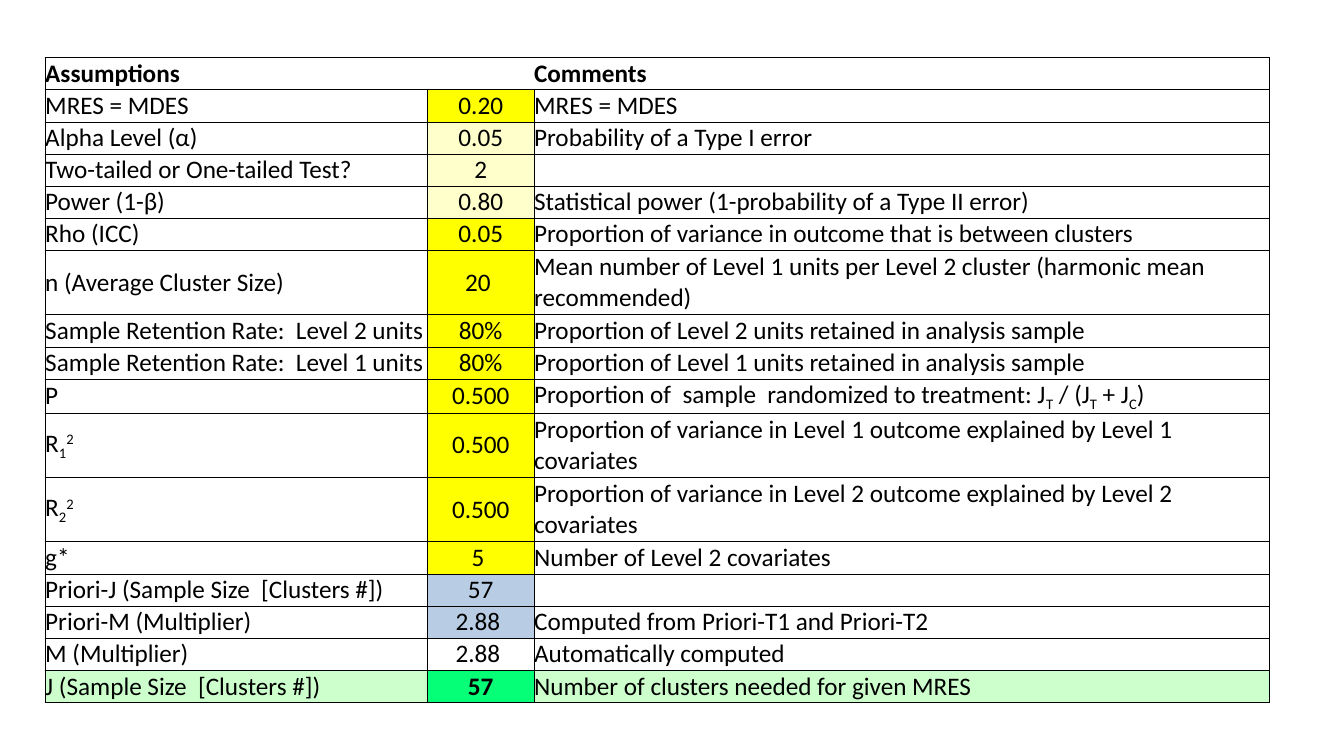
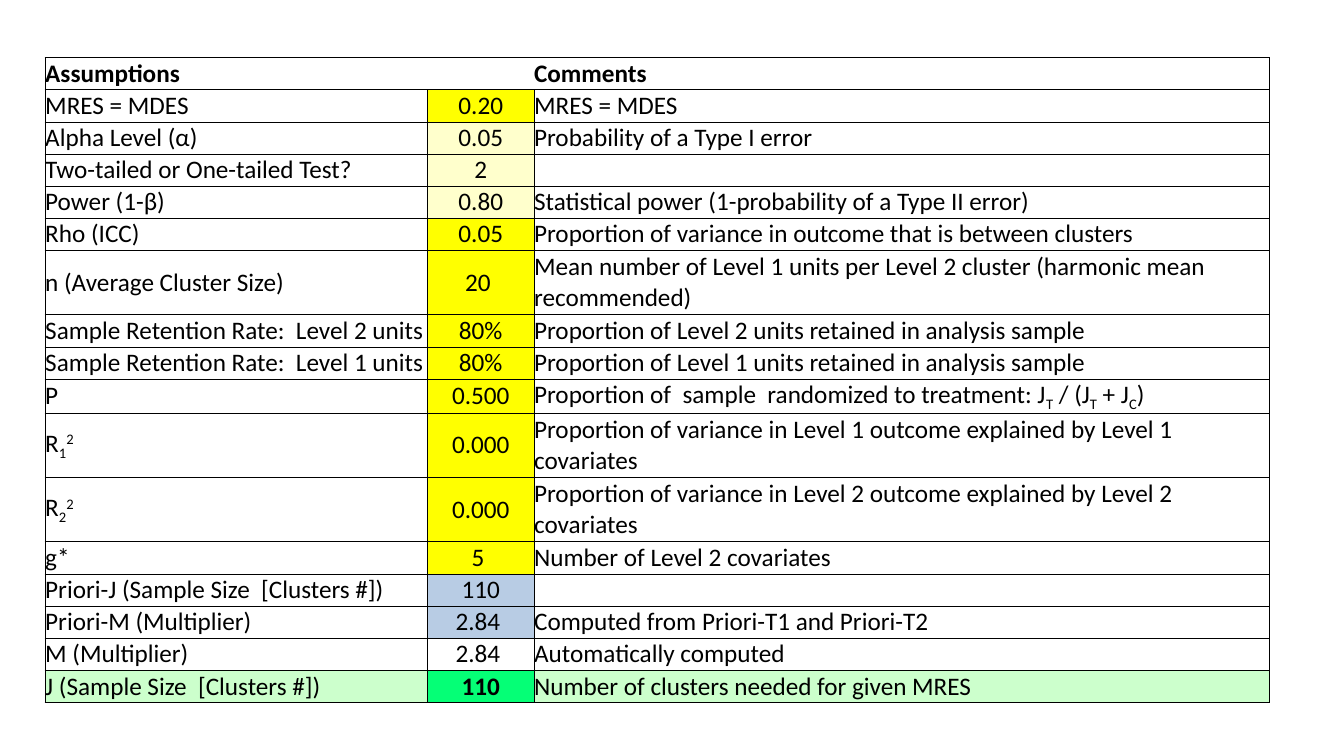
from typing import Iterator, NamedTuple

from lxml.etree import SubElement
from pptx import Presentation
from pptx.dml.color import RGBColor
from pptx.enum.text import MSO_ANCHOR as Anchor, PP_ALIGN as Align
from pptx.oxml.ns import qn
from pptx.util import Cm, Pt

BLACK, WHITE = "000000", "FFFFFF"
YELLOW, CREAM, BLUE = "FFFF00", "FFFFCC", "B8CCE4"
MINT, GREEN = "CCFFCC", "05FF76"

FONT, FONT_SIZE = "Calibri", 18
THIN, THICK = 0.5, 1
LEFT, TOP = 1.14, 1.45
COLUMN_WIDTHS = (9.63, 2.69, 18.53)
LINE_HEIGHT = 0.81
SUBSCRIPT, SUPERSCRIPT = -25, 30
BASELINES = {"_": SUBSCRIPT, "^": SUPERSCRIPT}


class Row(NamedTuple):
    label: str
    value: str
    comment: str
    value_fill: str = YELLOW
    side_fill: str = WHITE
    lines: int = 1
    bold: tuple[bool, bool, bool] = (False, False, False)


class Scenario(NamedTuple):
    r_squared: str
    clusters: str
    multiplier: str


SCENARIOS = (Scenario("0.500", "57", "2.88 "), Scenario("0.000", "110", "2.84 "))


def color(hex_code: str) -> RGBColor:
    return RGBColor.from_string(hex_code)


def assumption_rows(sc: Scenario) -> list[Row]:
    return [
        Row("Assumptions", "", "Comments", WHITE, bold=(True, False, True)),
        Row("MRES = MDES", "0.20", "MRES = MDES"),
        Row("Alpha Level (α)", "0.05", "Probability of a Type I error", CREAM),
        Row("Two-tailed or One-tailed Test?", "2", "", CREAM),
        Row("Power (1-β)", "0.80", "Statistical power (1-probability of a Type II error)", CREAM),
        Row("Rho (ICC)", "0.05", "Proportion of variance in outcome that is between clusters"),
        Row("n (Average Cluster Size)", "20 ",
            "Mean number of Level 1 units per Level 2 cluster (harmonic mean recommended)", lines=2),
        *(Row(f"Sample Retention Rate:  Level {level} units", "80%",
              f"Proportion of Level {level} units retained in analysis sample")
          for level in (2, 1)),
        Row("P", "0.500", "Proportion of  sample  randomized to treatment: J_T / (J_T + J_C)"),
        *(Row(f"R_{level}^2", sc.r_squared,
              f"Proportion of variance in Level {level} outcome explained by Level {level} covariates",
              lines=2)
          for level in (1, 2)),
        Row("g*", "5 ", "Number of Level 2 covariates"),
        Row("Priori-J (Sample Size  [Clusters #])", sc.clusters, "", BLUE),
        Row("Priori-M (Multiplier)", sc.multiplier, "Computed from Priori-T1 and Priori-T2", BLUE),
        Row("M (Multiplier)", sc.multiplier, "Automatically computed", WHITE),
        Row("J (Sample Size  [Clusters #])", sc.clusters,
            "Number of clusters needed for given MRES", GREEN, MINT, bold=(False, True, False)),
    ]


def split_baselines(text: str) -> Iterator[tuple[str, int]]:
    """Yield text parts with their baseline; _ lowers and ^ raises the next character."""
    plain, chars = "", iter(text)
    for char in chars:
        if char not in BASELINES:
            plain += char
            continue
        if plain:
            yield plain, 0
        yield next(chars), BASELINES[char]
        plain = ""
    if plain:
        yield plain, 0


def write_cell(cell, text: str, align: Align, bold: bool) -> None:
    cell.margin_left = cell.margin_right = cell.margin_top = cell.margin_bottom = 0
    cell.vertical_anchor = Anchor.MIDDLE
    p = cell.text_frame.paragraphs[0]
    p.alignment = align
    p.font.name, p.font.size, p.font.bold = FONT, Pt(FONT_SIZE), bold
    p.font.color.rgb = color(BLACK)
    for part, baseline in split_baselines(text):
        r = p.add_run()
        r.text = part
        if baseline:
            r.font._element.set("baseline", str(baseline * 1000))


def set_borders(cell, widths: dict[str, float]) -> None:
    """Draw the sides L, R, T and B in points; a width of 0 hides the side."""
    tc_pr = cell._tc.get_or_add_tcPr()
    for side, width in widths.items():
        ln = SubElement(tc_pr, qn(f"a:ln{side}"), w=str(Pt(width)))
        if width:
            fill = SubElement(ln, qn("a:solidFill"))
            SubElement(fill, qn("a:srgbClr"), val=BLACK)
        else:
            SubElement(ln, qn("a:noFill"))


def border_widths(row: int, col: int, last_row: int) -> dict[str, float]:
    """Thin grid, thick left, right and bottom edges, no dividers in the header."""
    divider = THIN if row else 0
    return {
        "L": THICK if col == 0 else divider,
        "R": THICK if col == len(COLUMN_WIDTHS) - 1 else divider,
        "T": THIN,
        "B": THICK if row == last_row else THIN,
    }


def add_assumption_table(s, rows: list[Row]) -> None:
    height = LINE_HEIGHT * sum(row.lines for row in rows)
    table = s.shapes.add_table(len(rows), len(COLUMN_WIDTHS), Cm(LEFT), Cm(TOP),
                               Cm(sum(COLUMN_WIDTHS)), Cm(height)).table
    table.first_row = table.horz_banding = False
    for column, width in zip(table.columns, COLUMN_WIDTHS):
        column.width = Cm(width)
    for i, row in enumerate(rows):
        table.rows[i].height = Cm(LINE_HEIGHT * row.lines)
        texts = (row.label, row.value, row.comment)
        fills = (row.side_fill, row.value_fill, row.side_fill)
        aligns = (Align.LEFT, Align.CENTER, Align.LEFT)
        for j, (text, fill, align, bold) in enumerate(zip(texts, fills, aligns, row.bold)):
            cell = table.cell(i, j)
            write_cell(cell, text, align, bold)
            set_borders(cell, border_widths(i, j, len(rows) - 1))
            cell.fill.solid()
            cell.fill.fore_color.rgb = color(fill)


def main() -> None:
    prs = Presentation()
    prs.slide_width, prs.slide_height = Cm(33.87), Cm(19.05)
    blank = prs.slide_layouts[6]
    for scenario in SCENARIOS:
        add_assumption_table(prs.slides.add_slide(blank), assumption_rows(scenario))
    prs.save("out.pptx")


if __name__ == "__main__":
    main()
